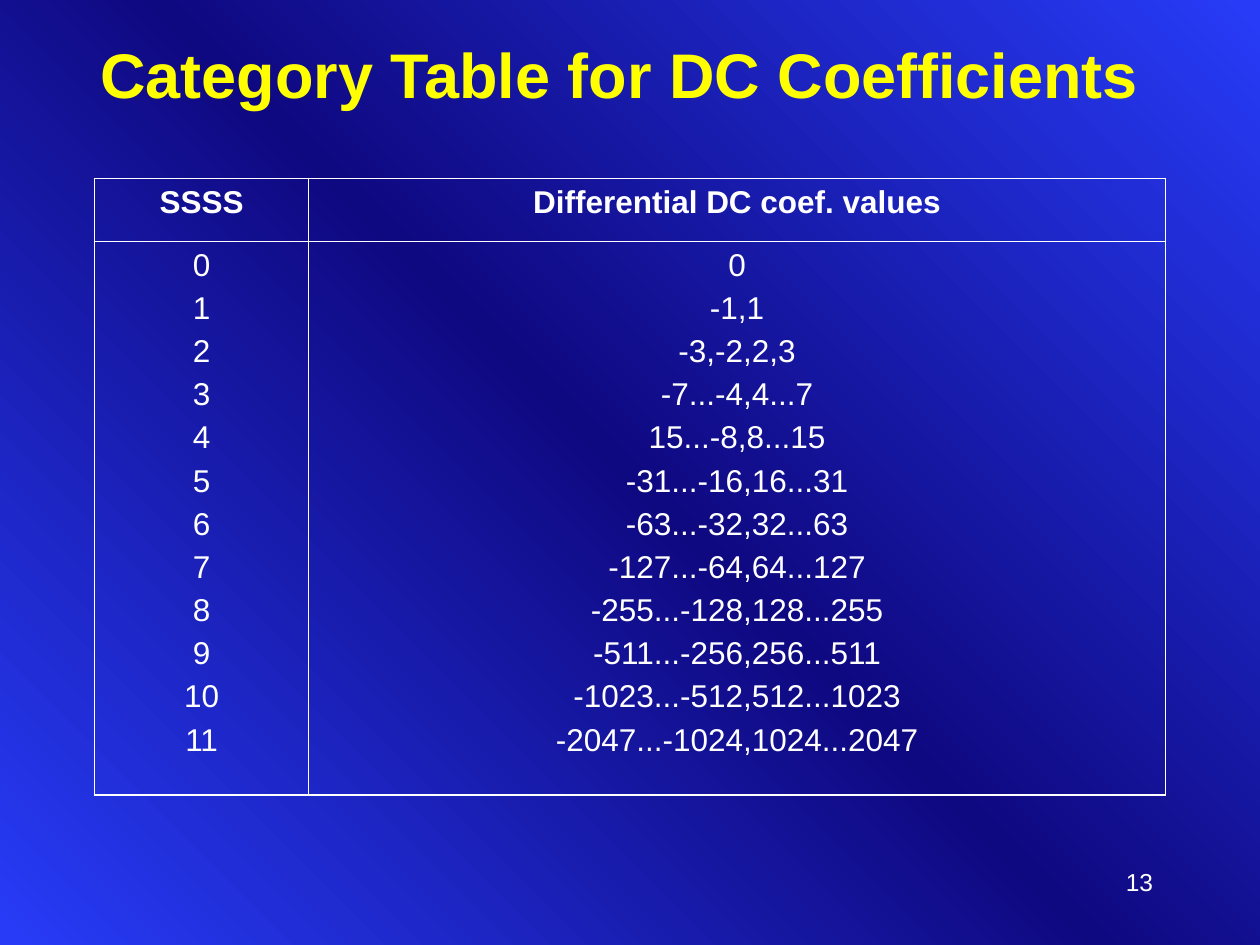
from dataclasses import dataclass
from typing import Any

from lxml import etree
from pptx import Presentation
from pptx import util as u
from pptx.dml import color
from pptx.enum import text
from pptx.oxml import parse_xml
from pptx.oxml import ns

COLUMNS, ROWS = 120, 90
VALUES = [
    "0", "-1,1", "-3,-2,2,3", "-7...-4,4...7", "15...-8,8...15",
    "-31...-16,16...31", "-63...-32,32...63", "-127...-64,64...127",
    "-255...-128,128...255", "-511...-256,256...511",
    "-1023...-512,512...1023", "-2047...-1024,1024...2047",
]


def rgb(value):
    return color.RGBColor.from_string(value)


@dataclass
class Designer:
    """Draws styled elements on one slide, placed on a grid of columns and rows."""

    deck: Any
    page: Any
    font: str = "Arial"
    ink: str = "FFFFFF"
    accent: str = "FFFF00"
    thin: float = 0.45
    thick: float = 1.08

    def across(self, columns):
        return u.Emu(round(self.deck.slide_width * columns / COLUMNS))

    def down(self, rows):
        return u.Emu(round(self.deck.slide_height * rows / ROWS))

    def place(self, left, top, width, height):
        return self.across(left), self.down(top), self.across(width), self.down(height)

    def background(self, stops, angle):
        marks = "".join(
            f'<a:gs pos="{share * 1000}"><a:srgbClr val="{value}"/></a:gs>'
            for share, value in stops
        )
        self.page._element.cSld.insert(0, parse_xml(
            f'<p:bg {ns.nsdecls("p", "a")}><p:bgPr><a:gradFill rotWithShape="0">'
            f'<a:gsLst>{marks}</a:gsLst><a:lin ang="{angle * 60000}" scaled="0"/>'
            '</a:gradFill><a:effectLst/></p:bgPr></p:bg>'
        ))

    def fill_text(self, frame, lines, size, align, ink=None, bold=False, before=0):
        frame.word_wrap = True
        for index, line in enumerate(lines):
            para = frame.paragraphs[0] if index == 0 else frame.add_paragraph()
            para.text = line
            para.alignment = align
            para.space_before = u.Pt(before)
            para.font.name = self.font
            para.font.size = u.Pt(size)
            para.font.bold = bold
            para.font.color.rgb = rgb(ink or self.ink)

    def label(self, content, area, size, align, anchor=text.MSO_ANCHOR.TOP, **look):
        box = self.page.shapes.add_textbox(*self.place(*area))
        self.fill_text(box.text_frame, [content], size, align, **look)
        box.text_frame.vertical_anchor = anchor

    def border(self, cell, edges):
        properties = cell._tc.get_or_add_tcPr()
        for index, (side, outer) in enumerate(edges.items()):
            width = u.Pt(self.thick if outer else self.thin)
            line = etree.Element(ns.qn(f"a:ln{side}"), w=str(int(width)))
            fill = etree.SubElement(line, ns.qn("a:solidFill"))
            etree.SubElement(fill, ns.qn("a:srgbClr"), val=self.ink)
            properties.insert(index, line)

    def table(self, cells, area, widths, heights, size, before):
        last_row, last_column = len(heights) - 1, len(widths) - 1
        table = self.page.shapes.add_table(
            len(heights), len(widths), *self.place(*area)).table
        table.first_row = table.horz_banding = False
        for column, width in zip(table.columns, widths):
            column.width = self.across(width)
        for r, height in enumerate(heights):
            table.rows[r].height = self.down(height)
            for c, lines in enumerate(cells[r]):
                cell = table.cell(r, c)
                cell.fill.background()
                self.fill_text(cell.text_frame, lines, size, text.PP_ALIGN.CENTER,
                               bold=r == 0, before=before)
                self.border(cell, {"L": c == 0, "R": c == last_column,
                                   "T": r == 0, "B": r == last_row})


def main():
    deck = Presentation()
    deck.slide_width, deck.slide_height = u.Inches(10), u.Inches(7.5)
    designer = Designer(deck, deck.slides.add_slide(deck.slide_layouts[6]))
    designer.background([(0, "283CF8"), (50, "0F0981"), (100, "283CF8")], 315)
    designer.label("13", (86, 82, 25, 6), 14, text.PP_ALIGN.RIGHT)
    designer.label("Category Table for DC Coefficients", (5, 1, 108, 12), 36,
                   text.PP_ALIGN.CENTER, text.MSO_ANCHOR.MIDDLE,
                   ink=designer.accent, bold=True)
    categories = [str(number) for number in range(len(VALUES))]
    designer.table([[["SSSS"], ["Differential DC coef. values"]], [categories, VALUES]],
                   (9, 17, 102, 58.7), (20.4, 81.6), (6, 52.7), 18, 4.5)
    deck.save("out.pptx")


if __name__ == "__main__":
    main()
